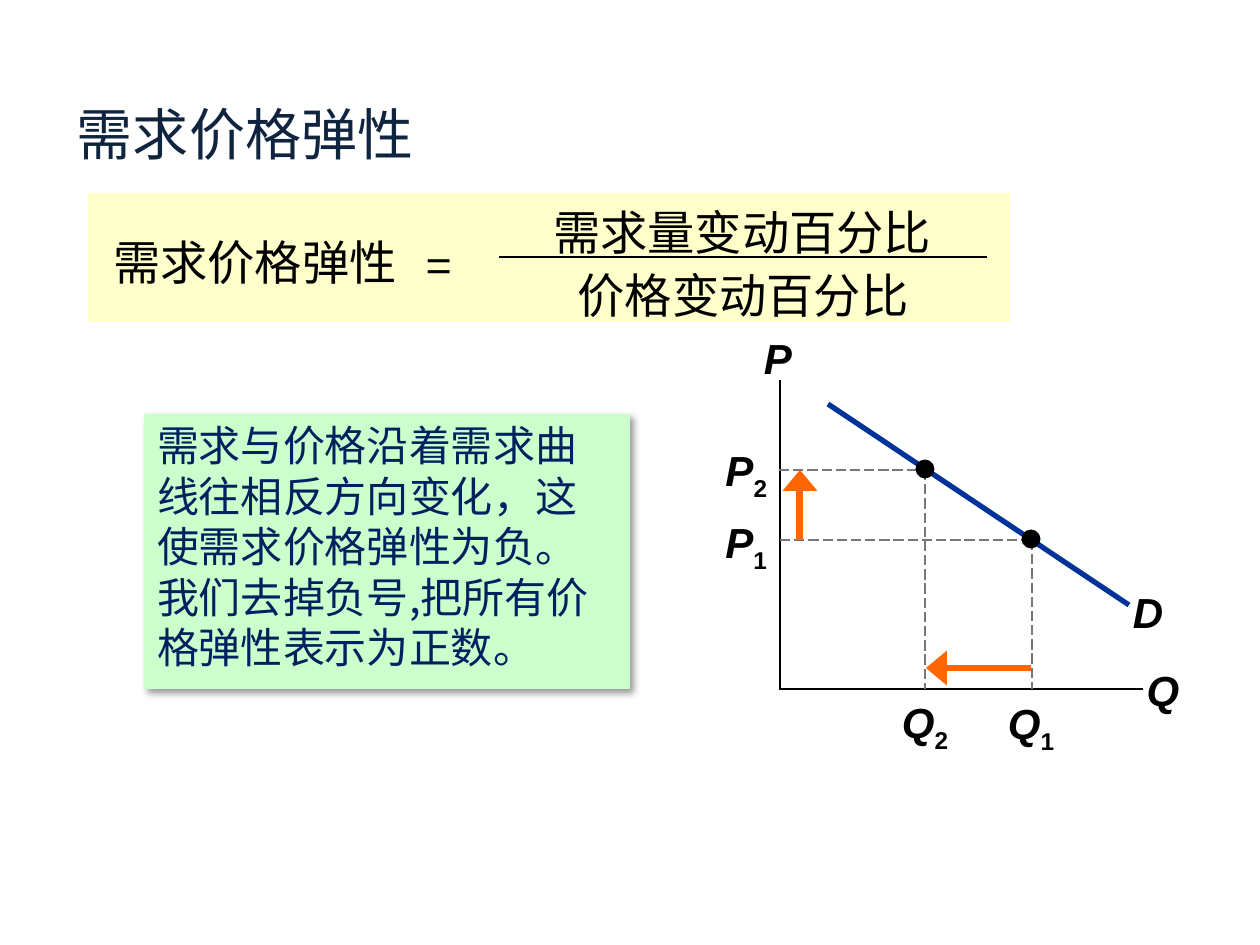
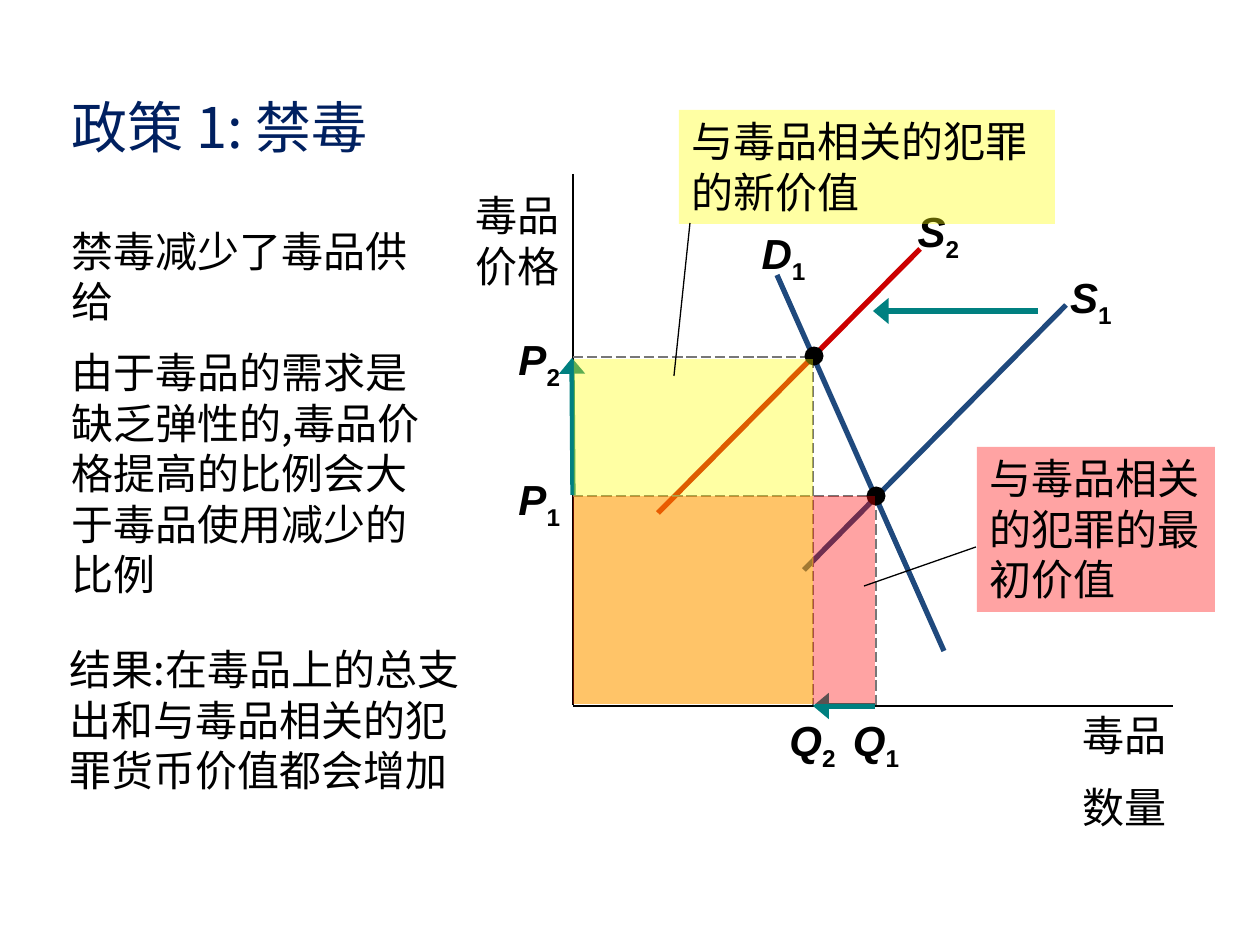
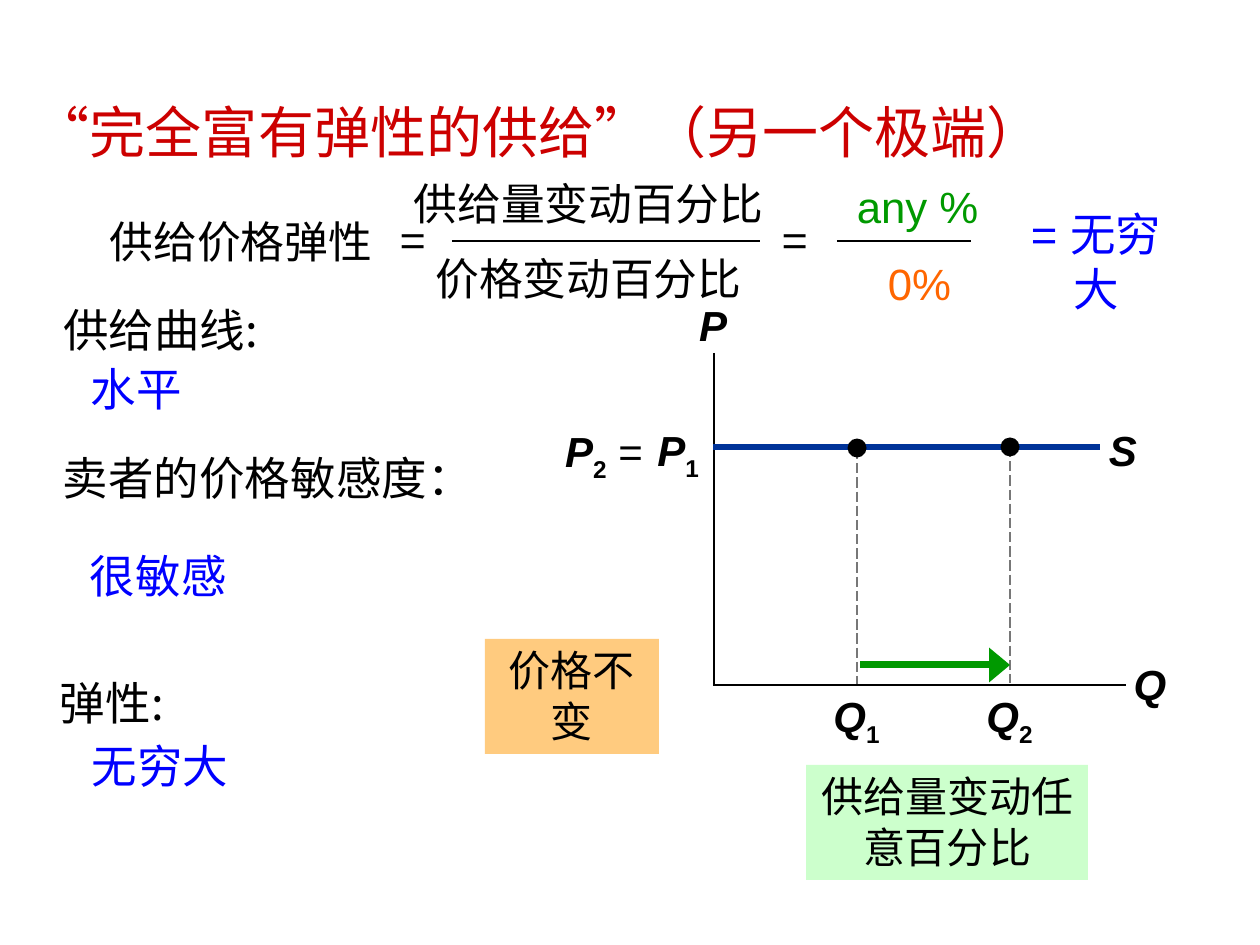
from lxml import etree
from pptx import Presentation
from pptx.dml.color import RGBColor
from pptx.enum.dml import MSO_LINE
from pptx.enum.shapes import MSO_CONNECTOR, MSO_SHAPE
from pptx.enum.text import MSO_ANCHOR, PP_ALIGN
from pptx.oxml import parse_xml
from pptx.oxml.ns import nsdecls, qn
from pptx.util import Pt

PX = 914400 / 126
LEFT, CENTER, RIGHT = PP_ALIGN.LEFT, PP_ALIGN.CENTER, PP_ALIGN.RIGHT
RECTANGLE, OVAL = MSO_SHAPE.RECTANGLE, MSO_SHAPE.OVAL
STRAIGHT, LONG_DASH = MSO_CONNECTOR.STRAIGHT, MSO_LINE.LONG_DASH
TOP, MIDDLE = MSO_ANCHOR.TOP, MSO_ANCHOR.MIDDLE
CHINESE, ARIAL = "Noto Sans CJK SC", "Arial"
BLACK, GRAY, NAVY, BLUE = "000000", "777777", "002060", "0000FF"
CURVE, DARK_CURVE, RED = "003399", "1F497D", "CC0000"
ORANGE, TEAL, GREEN = "FF6600", "008080", "009900"
CREAM, MINT = "FFFFCC", "CCFFCC"
DOT = 19


def add_line(slide, ends, color=BLACK, width=1, dashed=False, arrow=False):
    connector = slide.shapes.add_connector(STRAIGHT, *[round(v * PX) for v in ends])
    connector.line.color.rgb = RGBColor.from_string(color)
    connector.line.width = Pt(width)
    if dashed:
        connector.line.dash_style = LONG_DASH
    if arrow:
        etree.SubElement(connector.line._get_or_add_ln(), qn("a:tailEnd"),
                         type="triangle", w="lg", len="med")
    etree.SubElement(connector._element.spPr, qn("a:effectLst"))


def add_box(slide, area, text="", size=24, color=BLACK, align=LEFT, font=CHINESE,
            fill=None, opacity=100, kind=RECTANGLE, symbol=False, title=False):
    """Add text or a filled shape; in a symbol, the character after _ is a subscript."""
    area = [round(v * PX) for v in area]
    if title:
        shape = slide.shapes.title
        shape.left, shape.top, shape.width, shape.height = area
    elif fill:
        shape = slide.shapes.add_shape(kind, *area)
        shape.shadow.inherit = False
        shape.line.fill.background()
        shape.fill.solid()
        shape.fill.fore_color.rgb = RGBColor.from_string(fill)
        if opacity < 100:
            color_element = shape._element.spPr.find(".//" + qn("a:srgbClr"))
            etree.SubElement(color_element, qn("a:alpha"), val=str(opacity * 1000))
    else:
        shape = slide.shapes.add_textbox(*area)
    if not text:
        return shape

    frame = shape.text_frame
    frame.word_wrap = True
    frame.vertical_anchor = MIDDLE if title else TOP
    is_chinese = font == CHINESE or any(ord(letter) > 0x2E80 for letter in text)
    frame.margin_left = frame.margin_right = round(13 * PX)
    if area[2] < 64 * PX:
        frame.margin_left = frame.margin_right = 0
    frame.margin_top = round((6 if is_chinese else 9) * PX)
    frame.margin_bottom = round(6 * PX)
    frame.text = text.replace("_", "")
    for index, paragraph in enumerate(frame.paragraphs):
        paragraph.alignment = align
        paragraph.space_before = Pt(size * 0.5 if index else 0)
        if is_chinese:
            paragraph.line_spacing = Pt(round(size * 1.2, 1))
        if symbol:
            letter, _, rest = text.partition("_")
            paragraph.runs[0].text = letter
            for part in filter(None, (rest[:1], rest[1:])):
                paragraph.add_run().text = part
        for position, run in enumerate(paragraph.runs):
            run.font.size = Pt(size)
            run.font.name = font
            run.font.color.rgb = RGBColor.from_string(color)
            run.font.bold = symbol and position < 2
            run.font.italic = symbol and position == 0
            properties = run._r.get_or_add_rPr()
            etree.SubElement(properties, qn("a:ea"), typeface=CHINESE)
            if position == 1:
                properties.set("baseline", "-25000")
    return shape


# Titles: text, area, colour
titles = [
    ("需求价格弹性", (64, 78, 491, 111), "0F243E"),
    ("政策 1: 禁毒", (59, 82, 1134, 89), NAVY),
    ("“完全富有弹性的供给”（另一个极端）", (21, 88, 1171, 86), RED),
]

# Graphs: axes, curves, dashed guides, arrows, symbols and points of each slide
graphs = [
    dict(
        axes=[(780, 380, 780, 689), (779, 689, 1143, 689)],
        curves=[((828, 404, 1129, 605), CURVE)],
        guides=[(925, 470, 925, 689), (779, 470, 925, 470),
                (780, 540, 1032, 540), (1032, 540, 1032, 689)],
        arrows=[(800, 540, 800, 470), (1031, 668, 926, 668)],
        arrow_style=(ORANGE, 4),
        symbols=[("P", 736, 324, 84, CENTER), ("Q", 1121, 656, 84, CENTER),
                 ("D", 1106, 578, 84, CENTER), ("Q_2", 885, 688, 80, CENTER),
                 ("P_2", 698, 436, 82, RIGHT), ("P_1", 696, 508, 84, RIGHT),
                 ("Q_1", 993, 689, 76, CENTER)],
        points=[(925, 469), (1031, 539)]),
    dict(
        axes=[(573, 174, 573, 705), (573, 706, 1173, 706)],
        curves=[((777, 275, 944, 651), DARK_CURVE), ((804, 570, 1066, 305), DARK_CURVE),
                ((658, 513, 920, 249), RED)],
        guides=[(573, 496, 876, 496), (876, 496, 876, 706),
                (573, 357, 813, 357), (813, 358, 813, 705)],
        arrows=[(1038, 311, 873, 311), (875, 706, 813, 706), (573, 495, 572, 358)],
        arrow_style=(TEAL, 3),
        symbols=[("D_1", 738, 219, 91, CENTER), ("S_1", 1052, 263, 78, CENTER),
                 ("S_2", 893, 197, 91, CENTER), ("P_1", 489, 465, 84, RIGHT),
                 ("Q_1", 838, 706, 76, CENTER), ("P_2", 491, 325, 82, RIGHT),
                 ("Q_2", 772, 706, 81, CENTER)],
        points=[(876, 496), (814, 356)]),
    dict(
        axes=[(714, 353, 714, 685), (713, 685, 1126, 685)],
        curves=[((713, 447, 1100, 447), CURVE)],
        guides=[(857, 449, 857, 684), (1010, 447, 1010, 683)],
        arrows=[(860, 665, 1010, 665)],
        arrow_style=(GREEN, 4),
        symbols=[("S", 1082, 416, 82, CENTER), ("P", 665, 291, 96, CENTER),
                 ("Q", 1102, 650, 96, CENTER), ("P_1", 622, 416, 90, RIGHT),
                 ("Q_1", 816, 682, 81, CENTER), ("Q_2", 969, 682, 81, CENTER),
                 ("P_2 =", 544, 417, 112, RIGHT)],
        points=[(857, 448), (1010, 447)]),
]

presentation = Presentation()
presentation.slide_width = round(1260 * PX)
presentation.slide_height = round(945 * PX)

slides = []
for (title, title_area, title_color), graph in zip(titles, graphs):
    slide = presentation.slides.add_slide(presentation.slide_layouts[5])
    slides.append(slide)
    add_box(slide, title_area, title, 32, title_color, title=True)
    for ends in graph["axes"]:
        add_line(slide, ends)
    for ends, color in graph["curves"]:
        add_line(slide, ends, color, 3)
    for ends in graph["guides"]:
        add_line(slide, ends, GRAY, 0.75, dashed=True)
    for text, left, top, width, align in graph["symbols"]:
        add_box(slide, (left, top, width, 63), text, align=align, font=ARIAL, symbol=True)
    for x, y in graph["points"]:
        add_box(slide, (x - DOT / 2, y - DOT / 2, DOT, DOT), fill=BLACK, kind=OVAL)
    for ends in graph["arrows"]:
        add_line(slide, ends, *graph["arrow_style"], arrow=True)

demand, policy, supply = slides

# Demand: note with a soft shadow
note = add_box(demand, (144, 414, 486, 275),
               "需求与价格沿着需求曲线往相反方向变化，这使需求价格弹性为负。"
               "我们去掉负号,把所有价格弹性表示为正数。", color=NAVY, fill=MINT)
effects = note._element.spPr.find(qn("a:effectLst"))
effects.append(parse_xml(
    f'<a:outerShdw {nsdecls("a")} blurRad="50800" dist="38100" dir="2700000">'
    '<a:srgbClr val="000000"><a:alpha val="40000"/></a:srgbClr></a:outerShdw>'))

# Demand: formula band
add_box(demand, (88, 193, 922, 129), fill=CREAM)
for text, area, size in [
    ("需求价格弹性", (93, 227, 324, 69), 27),
    ("=", (412, 232, 55, 52), 26),
    ("需求量变动百分比", (488, 197, 508, 53), 27),
    ("价格变动百分比", (489, 260, 508, 54), 27),
]:
    add_box(demand, area, text, size, align=CENTER, fill=CREAM)
add_line(demand, (499, 257, 987, 257))

# Policy: axis names and explanation
add_box(policy, (460, 184, 115, 115), "毒品价格", align=CENTER, font=ARIAL)
add_box(policy, (1060, 704, 129, 140), "毒品\n数量", align=CENTER)
add_box(policy, (59, 219, 393, 394),
        "禁毒减少了毒品供给\n由于毒品的需求是缺乏弹性的,毒品价格提高的比例会大于毒品使用减少的比例")
add_box(policy, (57, 638, 427, 165),
        "结果:在毒品上的总支出和与毒品相关的犯罪货币价值都会增加")

# Policy: value areas with their callouts
for color, value_area, callout_area, text, leader in [
    ("FF0000", (573, 496, 302, 208), (977, 447, 238, 165),
     "与毒品相关的犯罪的最初价值", (864, 586, 976, 547)),
    ("FFFF00", (574, 359, 239, 345), (679, 110, 376, 114),
     "与毒品相关的犯罪的新价值", (690, 223, 674, 376)),
]:
    add_box(policy, value_area, fill=color, opacity=36)
    add_box(policy, callout_area, text, fill=color, opacity=36)
    add_line(policy, leader, width=0.75)

# Supply: formula
for text, area, size, color, font in [
    ("供给价格弹性", (84, 209, 314, 63), 25, BLACK, CHINESE),
    ("=", (382, 207, 63, 67), 26, BLACK, CHINESE),
    ("供给量变动百分比\n价格变动百分比", (368, 171, 441, 145), 25, BLACK, CHINESE),
    ("=", (764, 207, 63, 67), 26, BLACK, CHINESE),
    ("any %", (837, 171, 161, 66), 25, GREEN, ARIAL),
    ("0%", (839, 248, 161, 66), 25, ORANGE, ARIAL),
    ("= 无穷大", (998, 200, 196, 67), 26, BLUE, ARIAL),
]:
    add_box(supply, area, text, size, color, CENTER, font)
for ends in [(452, 241, 760, 241), (837, 241, 971, 241)]:
    add_line(supply, ends)

# Supply: properties and their answers
for text, area, color in [
    ("供给曲线:", (50, 296, 344, 73), BLACK),
    ("水平", (78, 355, 399, 73), BLUE),
    ("卖者的价格敏感度：", (50, 444, 467, 134), BLACK),
    ("很敏感", (77, 542, 362, 68), BLUE),
    ("弹性:", (47, 669, 223, 74), BLACK),
    ("无穷大", (79, 732, 252, 74), BLUE),
]:
    add_box(supply, area, text, 26, color)

# Supply: notes beside the axes
add_box(supply, (806, 765, 282, 115), "供给量变动任意百分比", align=CENTER, fill=MINT)
add_box(supply, (485, 639, 174, 115), "价格不变", align=CENTER, fill="FF9900", opacity=50)

presentation.save("out.pptx")
